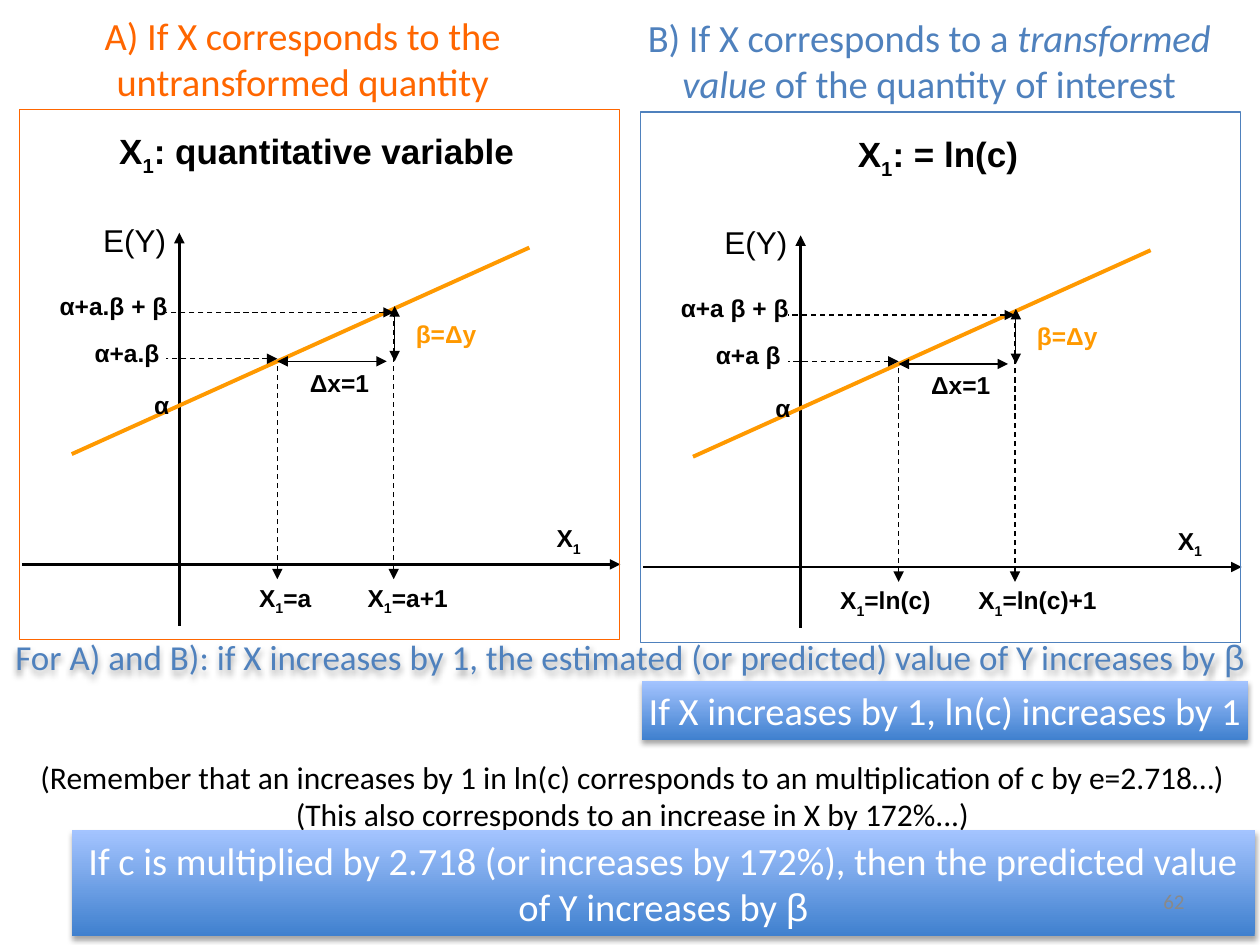
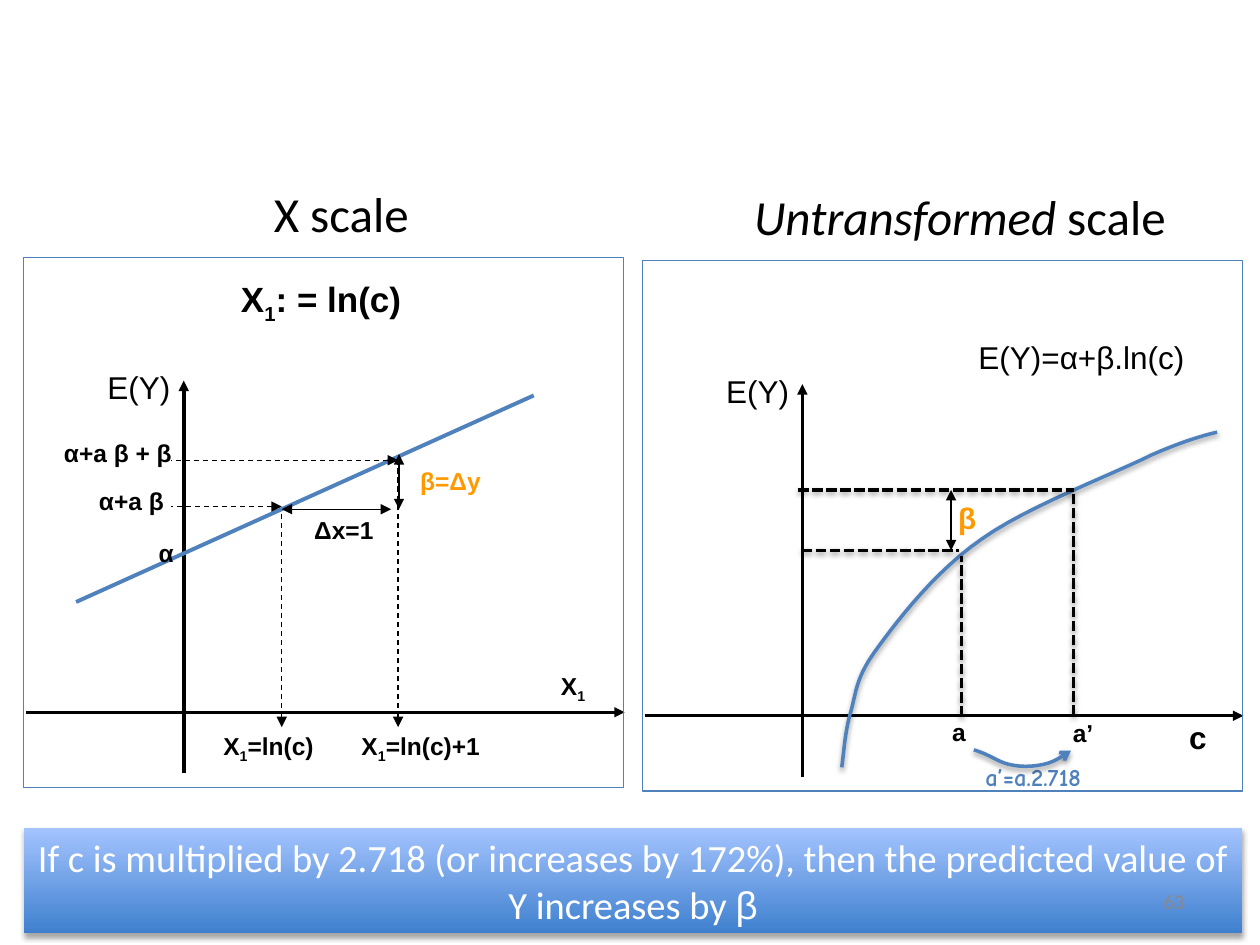
import pptx
import pptx.dml.color
import pptx.enum.dml
import pptx.enum.shapes
import pptx.enum.text
import pptx.oxml
import pptx.oxml.ns
import pptx.util
from lxml import etree

Pt = pptx.util.Pt
RGBColor = pptx.dml.color.RGBColor
Align = pptx.enum.text.PP_ALIGN
Anchor = pptx.enum.text.MSO_ANCHOR
Dash = pptx.enum.dml.MSO_LINE
qn = pptx.oxml.ns.qn

BLACK = RGBColor(0x00, 0x00, 0x00)
WHITE = RGBColor(0xFF, 0xFF, 0xFF)
GREY = RGBColor(0x89, 0x89, 0x89)
ORANGE = RGBColor(0xFF, 0x66, 0x00)
AMBER = RGBColor(0xFF, 0x99, 0x00)
BLUE = RGBColor(0x4F, 0x81, 0xBD)
BAND_DARK = RGBColor(0x3F, 0x80, 0xCE)
BAND_LIGHT = RGBColor(0xA4, 0xC4, 0xFF)

X_ONE = [("X", None), ("1", "sub")]
LN_HEADING = X_ONE + [(": = ln(c)", None)]
CONCLUSION = [("If c is multiplied by 2.718 (or increases by 172%), then the "
               "predicted value of Y increases by ", None), ("β", "Arial")]
PANEL_WIDTH, PANEL_HEIGHT = 343, 303


def bezier_points(start, curves, steps=12):
    """Sample joined cubic curves, each given as two controls and an end."""
    points = [start]
    for first, second, end in curves:
        origin = points[-1]
        for step in range(1, steps + 1):
            t = step / steps
            u = 1 - t
            points.append(tuple(
                u**3 * a + 3 * u * u * t * b + 3 * u * t * t * c + t**3 * d
                for a, b, c, d in zip(origin, first, second, end)))
    return points


class Painter:
    """Holds the deck style and the current page."""

    def __init__(self, deck):
        self.deck = deck
        self.page = None

    def new_page(self, left_title, right_title):
        """Each title is (spans, box, size, colour)."""
        self.page = self.deck.slides.add_slide(self.deck.slide_layouts[4])
        titles = {1: left_title, 3: right_title}
        for holder in list(self.page.placeholders):
            index = holder.placeholder_format.idx
            if index not in titles:
                holder.element.getparent().remove(holder.element)
                continue
            spans, box, size, colour = titles[index]
            self.place(holder, box)
            frame = holder.text_frame
            frame.auto_size = pptx.enum.text.MSO_AUTO_SIZE.NONE
            frame.vertical_anchor = Anchor.TOP
            self.set_text(frame.paragraphs[0], spans, size, colour, "Calibri",
                          False, Align.CENTER)

    def place(self, shape, box):
        shape.left, shape.top, shape.width, shape.height = map(Pt, box)

    def set_text(self, para, spans, size, colour, font="Arial", bold=False,
                 align=Align.LEFT):
        """Spans are (text, style); style is None, sub, italic or a font."""
        para.alignment = align
        para.space_before = Pt(0)
        para.font.size = Pt(size)
        para.font.bold = bold
        para.font.color.rgb = colour
        para.font.name = font
        if isinstance(spans, str):
            spans = [(spans, None)]
        for text, style in spans:
            span = para.add_run()
            span.text = text
            if style == "sub":
                span.font._element.set("baseline", "-25000")
            elif style == "italic":
                span.font.italic = True
            elif style:
                span.font.name = style

    def label(self, spans, box, size=14, colour=BLACK, **look):
        shape = self.page.shapes.add_textbox(*map(Pt, box))
        shape.text_frame.word_wrap = True
        self.set_text(shape.text_frame.paragraphs[0], spans, size, colour,
                      **look)
        return shape

    def effects(self, shape, opacity=0, distance=1.6):
        """Give the shape a soft drop shadow, or none when opacity is 0."""
        properties = shape._element.spPr
        effects = etree.SubElement(properties, qn("a:effectLst"))
        if opacity:
            shadow = etree.SubElement(
                effects, qn("a:outerShdw"), blurRad=str(Pt(3.1)),
                dist=str(Pt(distance)), dir="5400000", rotWithShape="0")
            tint = etree.SubElement(shadow, qn("a:srgbClr"), val="000000")
            etree.SubElement(tint, qn("a:alpha"), val=str(opacity * 1000))

    def stroke(self, shape, colour, width, dash=None, head=None, tail=None,
               opacity=0):
        line = shape.line
        line.color.rgb = colour
        line.width = Pt(width)
        if dash:
            line.dash_style = dash
        for tag, kind in (("a:headEnd", head), ("a:tailEnd", tail)):
            if kind:
                etree.SubElement(line._get_or_add_ln(), qn(tag), type=kind)
        self.effects(shape, opacity)

    def line(self, start, end, width=0.75, colour=BLACK, **look):
        connector = self.page.shapes.add_connector(
            pptx.enum.shapes.MSO_CONNECTOR.STRAIGHT, *map(Pt, start + end))
        self.stroke(connector, colour, width, **look)

    def curve(self, start, curves, **look):
        points = [(Pt(x), Pt(y)) for x, y in bezier_points(start, curves)]
        builder = self.page.shapes.build_freeform(*points[0])
        builder.add_line_segments(points[1:], close=False)
        shape = builder.convert_to_shape()
        shape.fill.background()
        self.stroke(shape, BLUE, 2, opacity=38, **look)

    def rectangle(self, box):
        return self.page.shapes.add_shape(
            pptx.enum.shapes.MSO_SHAPE.RECTANGLE, *map(Pt, box))

    def frame(self, left, top, colour):
        shape = self.rectangle((left, top, PANEL_WIDTH, PANEL_HEIGHT))
        shape.fill.background()
        self.stroke(shape, colour, 0.75)

    def statement(self, paragraphs, box, size, colour, inset=0):
        """A borderless rectangle with centred text."""
        shape = self.rectangle(box)
        shape.line.fill.background()
        text = shape.text_frame
        text.word_wrap = True
        text.margin_left = text.margin_right = Pt(inset)
        for number, spans in enumerate(paragraphs):
            para = text.add_paragraph() if number else text.paragraphs[0]
            self.set_text(para, spans, size, colour, "Calibri",
                          align=Align.CENTER)
        return shape

    def band(self, spans, box, inset=7.2):
        shape = self.statement([spans], box, 22, WHITE, inset)
        shape.fill.gradient()
        shape.fill.gradient_angle = 90
        for stop, colour in zip(shape.fill.gradient_stops,
                                (BAND_DARK, BAND_LIGHT)):
            stop.color.rgb = colour
        self.effects(shape, 35, 1.8)

    def note(self, paragraphs, box):
        shape = self.statement(paragraphs, box, 18, BLACK)
        shape.fill.solid()
        shape.fill.fore_color.rgb = WHITE
        self.effects(shape)

    def page_number(self):
        box = self.label([], (516, 500.5, 168, 29), 12, GREY, font="Calibri",
                         align=Align.RIGHT)
        box.text_frame.vertical_anchor = Anchor.MIDDLE
        para = box.text_frame.paragraphs[0]
        field = etree.SubElement(
            para._p, qn("a:fld"), type="slidenum",
            id="{B6F15528-21DE-4FAA-801E-634DDDAF4B2B}")
        look = etree.SubElement(field, qn("a:rPr"), lang="en-US", sz="1200")
        fill = etree.SubElement(look, qn("a:solidFill"))
        etree.SubElement(fill, qn("a:srgbClr"), val=str(GREY))
        first = int(self.deck.element.get("firstSlideNum"))
        number = first + len(self.deck.slides) - 1
        etree.SubElement(field, qn("a:t")).text = str(number)

    def axes(self, left, top):
        self.line((left + 91.5, top + 70.5), (left + 91.5, top + 295), 2,
                  head="triangle")
        self.line((left + 1.5, top + 260), (left + 343.5, top + 260), 1.5,
                  tail="triangle")
        self.label("E(Y)", (left - 11, top + 60, 102, 29), 18,
                   align=Align.RIGHT)

    def linear_panel(self, left, top, heading, levels, ticks, line_colour,
                     frame_colour):
        """Regression line with its slope; ticks are (text, x, width)."""
        self.axes(left, top)
        self.line((left + 30, top + 197), (left + 291.5, top + 79), 2.25,
                  line_colour)
        for x, y, foot in ((147.5, 142.5, 145), (214, 116, 115)):
            self.line((left + x, top + 268.5), (left + x, top + foot),
                      dash=Dash.DASH, head="triangle")
            self.line((left + x, top + y), (left + 84, top + y),
                      dash=Dash.DASH, head="triangle")
        for start, end in (((147.5, 144), (210, 144)),
                           ((214.5, 112.5), (214.5, 144))):
            self.line((left + start[0], top + start[1]),
                      (left + end[0], top + end[1]),
                      head="triangle", tail="triangle")
        labels = [
            (X_ONE, 300, 233, 41, BLACK),
            (levels[0], 16, 100, 81, BLACK),
            (levels[1], 36, 127, 72, BLACK),
            ("α", 70, 157, 27, BLACK),
            ("β=Δy", 219.5, 116, 72, AMBER),
            ("Δx=1", 159, 144, 50, BLACK),
        ]
        labels += [(X_ONE + [(text, None)], x, 267, width, BLACK)
                   for text, x, width in ticks]
        for spans, x, y, width, colour in labels:
            self.label(spans, (left + x, top + y, width, 27), colour=colour,
                       bold=True)
        self.label(heading, (left + 39.5, top + 8, 261, 32), 20, bold=True,
                   align=Align.CENTER)
        self.frame(left, top, frame_colour)

    def log_panel(self, left, top, line_colour):
        """Linear panel whose X is ln(c)."""
        self.linear_panel(left, top, LN_HEADING, ("α+a β + β", "α+a β"),
                          (("=ln(c)", 107, 79), ("=ln(c)+1", 186, 94)),
                          line_colour, BLUE)


def comparison_page(painter):
    painter.new_page(
        ("A) If X corresponds to the untransformed quantity",
         (6.5, 3, 333, 42), 22, ORANGE),
        ([("B) If X corresponds to a ", None), ("transformed value", "italic"),
          (" of the quantity of interest", None)],
         (354, 4.5, 354, 42), 22, BLUE))
    painter.linear_panel(
        11, 62.5, X_ONE + [(": quantitative variable", None)],
        ("α+a.β + β", "α+a.β"), (("=a", 130, 45), ("=a+1", 192, 64)),
        AMBER, ORANGE)
    painter.log_panel(366, 64, AMBER)
    summary = painter.label(
        [("For A) and B): if X increases by 1, the estimated (or predicted) "
          "value of Y increases by ", None), ("β", "Arial")],
        (0, 359.5, 720, 32), 20, BLUE, font="Calibri", align=Align.CENTER)
    painter.effects(summary, 35, 1.8)
    painter.band("If X increases by 1, ln(c) increases by 1",
                 (367, 389, 346, 34), 0)
    painter.note(
        ["(Remember that an increases by 1 in ln(c) corresponds to an "
         "multiplication of c by e=2.718…)",
         "(This also corresponds to an increase in X by 172%...)"],
        (11, 429, 701, 51))
    painter.band(CONCLUSION, (41, 474.5, 676, 60.5))
    painter.page_number()


def scales_page(painter):
    painter.new_page(
        ("X scale", (36, 101, 318, 55), 28, BLACK),
        ([("Untransformed", "italic"), (" scale", None)],
         (389.5, 103, 318, 55), 28, BLACK))
    painter.log_panel(13.5, 147, BLUE)

    left, top = 367, 149
    painter.axes(left, top)
    painter.frame(left, top, BLUE)
    painter.curve((481, 438.5), [
        ((482.5, 427), (483, 417), (486.5, 405.5)),
        ((489.5, 394), (489.5, 386), (502, 369.5)),
        ((514, 353), (535, 326), (561, 308)),
        ((587, 289.5), (636, 271), (658, 260)),
        ((680.5, 250), (695.5, 247), (695.5, 247))])
    painter.label("E(Y)=α+β.ln(c)", (526, 189.5, 158, 29), 18,
                  align=Align.RIGHT)
    painter.band(CONCLUSION, (13.5, 473, 696.5, 60.5))
    for text, x, y, width, size, colour in (
            ("c", 672.5, 407, 41, 18, BLACK),
            ("a", 537, 406, 30, 14, BLACK),
            ("a’", 606, 407, 53, 14, BLACK),
            ("β", 540.5, 282, 72, 17, AMBER)):
        painter.label(text, (x, y, width, 27), size, colour, bold=True)
    painter.label("a’=a.2.718", (556, 432, 94, 27), 14, BLUE,
                  font="Comic Neue", bold=True)
    painter.line((543.5, 280), (543.5, 314.5), head="triangle",
                 tail="triangle")
    for start, end in (((456, 280), (613.5, 280)),
                       ((458, 314.5), (548, 314.5)),
                       ((549.5, 409.5), (549.5, 318)),
                       ((613.5, 409), (613.5, 282))):
        painter.line(start, end, 2, dash=Dash.SQUARE_DOT, opacity=38)
    painter.curve((556.5, 428.5), [
        ((566.5, 431.5), (570, 435.5), (577.5, 437)),
        ((584, 438.5), (592, 438), (597.5, 436.5)),
        ((603.5, 435), (607, 432), (612, 429))], tail="arrow")
    painter.page_number()


def main():
    deck = pptx.Presentation()
    deck.slide_width, deck.slide_height = Pt(720), Pt(540)
    deck.element.set("firstSlideNum", "62")
    painter = Painter(deck)
    comparison_page(painter)
    scales_page(painter)
    deck.save("out.pptx")


if __name__ == "__main__":
    main()
